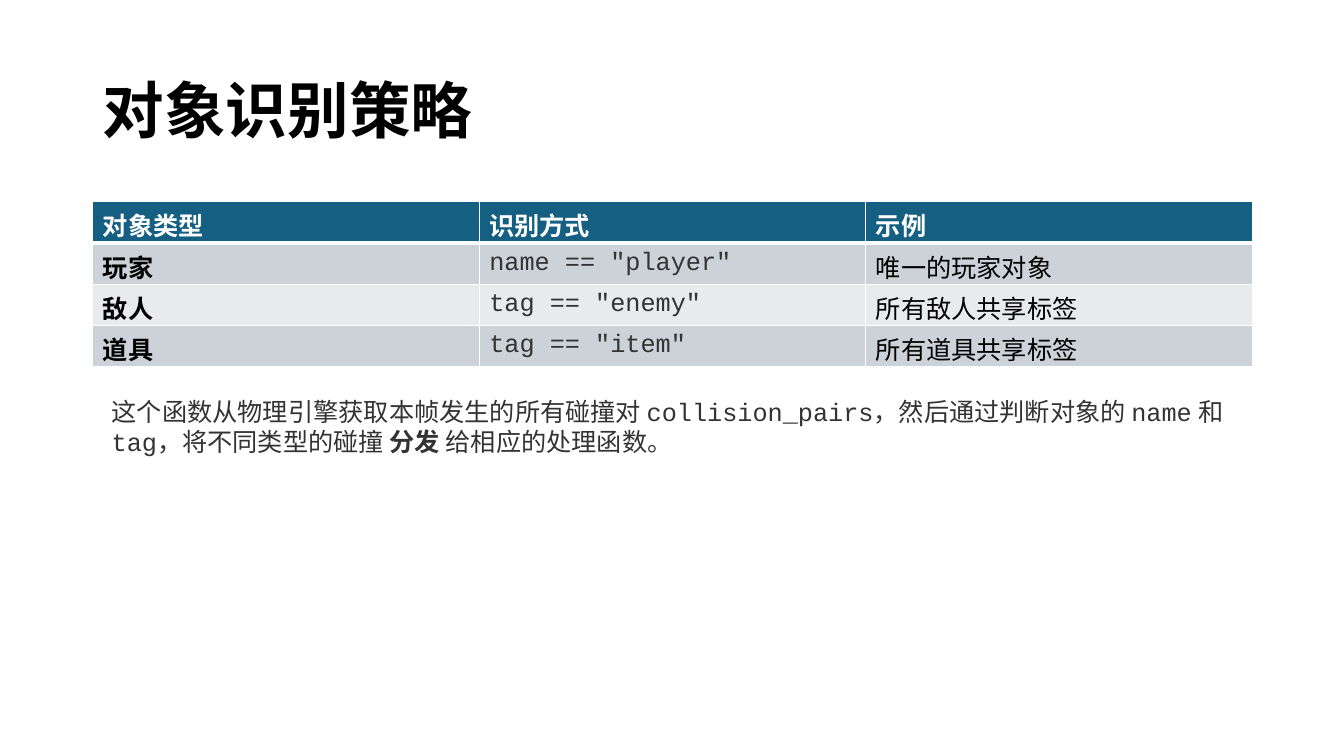
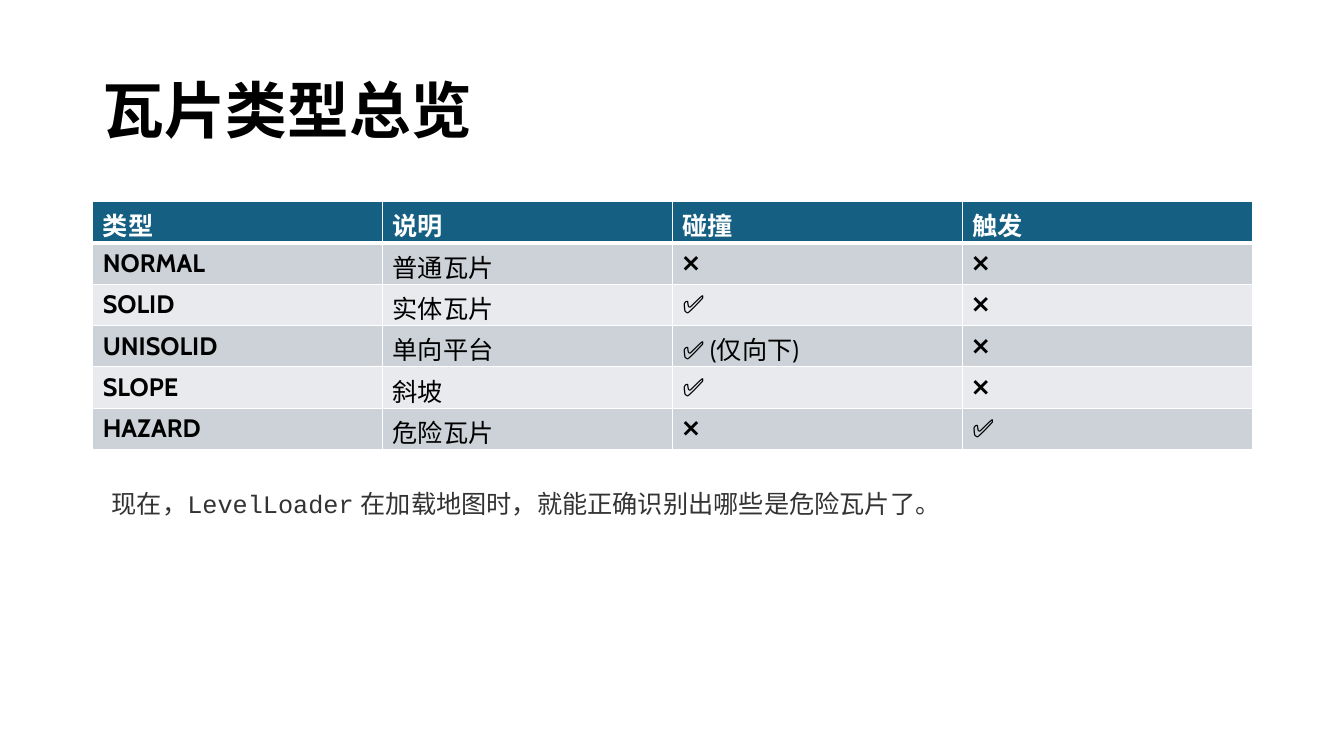
from lxml.etree import SubElement
from pptx import Presentation
from pptx.dml.color import RGBColor
from pptx.enum.lang import MSO_LANGUAGE_ID
from pptx.enum.text import MSO_ANCHOR
from pptx.oxml.ns import qn
from pptx.util import Inches, Pt

WHITE, BLACK, GREY, BLUE = "FFFFFF", "000000", "333333", "156082"
BANDS = "CCD2D8", "E8EAED"
LEFT, WIDTH = 0.92, 11.5
TOP, ROW = 2, 0.41
PITCH = 0.46  # height of a row once its text is set

TITLE = dict(name="Cabin", size=Pt(44), bold=True, color=BLACK)
HEAD = dict(name="Cabin", size=Pt(18), bold=True, color=WHITE)
BODY = dict(HEAD, bold=False, color=BLACK)
LABEL = dict(BODY, bold=True)
NOTE = dict(BODY, name="Arial", color=GREY)
STRONG = dict(NOTE, bold=True)
CODE = dict(NOTE, name="Courier New")

SLIDES = [
    dict(
        title="对象识别策略",
        head=["对象类型", "识别方式", "示例"],
        rows=[
            ["玩家", 'name == "player"', "唯一的玩家对象"],
            ["敌人", 'tag == "enemy"', "所有敌人共享标签"],
            ["道具", 'tag == "item"', "所有道具共享标签"],
        ],
        styles=[LABEL, CODE, BODY],
        width=11.41,
        note=[
            ("这个函数从物理引擎获取本帧发生的所有碰撞对 ", NOTE),
            ("collision_pairs", CODE),
            ("，然后通过判断对象的 ", NOTE),
            ("name", CODE),
            (" 和 ", NOTE),
            ("tag", CODE),
            ("，将不同类型的碰撞 ", NOTE),
            ("分发", STRONG),
            (" 给相应的处理函数。", NOTE),
        ],
    ),
    dict(
        title="瓦片类型总览",
        head=["类型", "说明", "碰撞", "触发"],
        rows=[
            ["NORMAL", "普通瓦片", "❌", "❌"],
            ["SOLID", "实体瓦片", "✅", "❌"],
            ["UNISOLID", "单向平台", "✅ (仅向下)", "❌"],
            ["SLOPE", "斜坡", "✅", "❌"],
            ["HAZARD", "危险瓦片", "❌", "✅"],
        ],
        styles=[LABEL, BODY, BODY, BODY],
        width=9.56,
        note=[
            ("现在，", NOTE),
            ("LevelLoader", CODE),
            (" 在加载地图时，就能正确识别出哪些是危险瓦片了。", NOTE),
        ],
    ),
]


def paint(target, color):
    target.rgb = RGBColor.from_string(color)


def write(para, text, style):
    run = para.add_run()
    run.text = text
    run.font.language_id = MSO_LANGUAGE_ID.SIMPLIFIED_CHINESE
    for key, value in style.items():
        if key == "color":
            paint(run.font.color, value)
        else:
            setattr(run.font, key, value)


def add_box(slide, left, top, width, height):
    box = slide.shapes.add_textbox(*map(Inches, (left, top, width, height)))
    box.text_frame.word_wrap = True
    return box.text_frame


def add_title(slide, text):
    frame = add_box(slide, LEFT, 0.4, WIDTH, 1.45)
    frame.vertical_anchor = MSO_ANCHOR.MIDDLE
    para = frame.paragraphs[0]
    para.line_spacing = 0.9
    write(para, text, TITLE)


def add_edges(cell, **wide):
    """Draw white cell borders, 1 pt unless a side is given a width."""
    props = cell._tc.get_or_add_tcPr()
    for side in "LRTB":
        line = SubElement(props, qn(f"a:ln{side}"), w=str(Pt(wide.get(side, 1))))
        fill = SubElement(line, qn("a:solidFill"))
        SubElement(fill, qn("a:srgbClr"), val=WHITE)


def fill_cell(cell, text, style, color, **wide):
    add_edges(cell, **wide)
    cell.fill.solid()
    paint(cell.fill.fore_color, color)
    cell.vertical_anchor = MSO_ANCHOR.MIDDLE
    write(cell.text_frame.paragraphs[0], text, style)


def add_grid(slide, head, rows, styles):
    count = len(rows) + 1
    place = map(Inches, (LEFT, TOP, WIDTH, ROW * count))
    table = slide.shapes.add_table(count, len(head), *place).table
    for col, text in enumerate(head):
        fill_cell(table.cell(0, col), text, HEAD, BLUE, B=3)
    for num, row in enumerate(rows):
        wide = {} if num else {"T": 3}
        for col, (text, style) in enumerate(zip(row, styles)):
            fill_cell(table.cell(num + 1, col), text, style, BANDS[num % 2], **wide)


def add_note(slide, runs, width, count):
    frame = add_box(slide, 1.01, TOP + PITCH * count + 0.04, width, 0.4)
    for text, style in runs:
        write(frame.paragraphs[0], text, style)


def main():
    deck = Presentation()
    deck.slide_width, deck.slide_height = Inches(13.33), Inches(7.5)
    for data in SLIDES:
        slide = deck.slides.add_slide(deck.slide_layouts[6])
        add_title(slide, data["title"])
        add_grid(slide, data["head"], data["rows"], data["styles"])
        add_note(slide, data["note"], data["width"], len(data["rows"]) + 1)
    deck.save("out.pptx")


if __name__ == "__main__":
    main()
